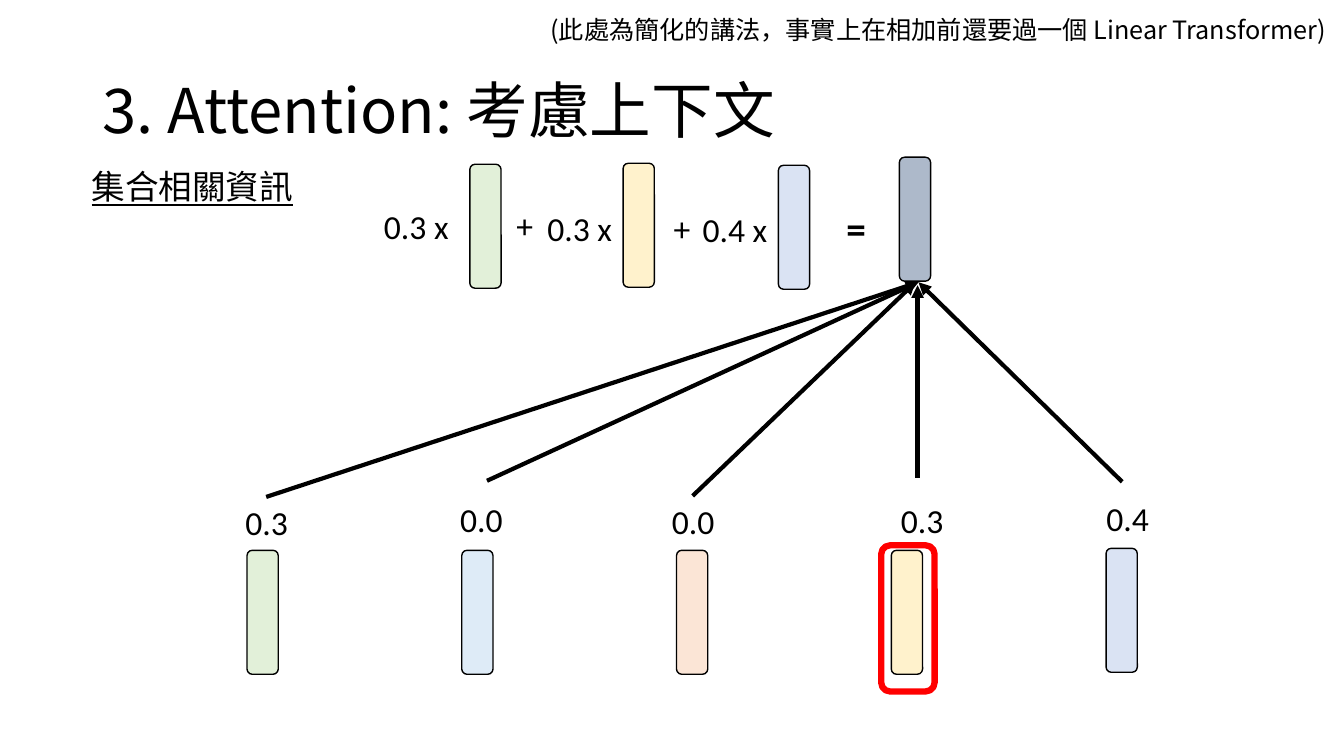
from pptx import Presentation
from pptx.dml.color import RGBColor
from pptx.enum.shapes import MSO_CONNECTOR, MSO_SHAPE
from pptx.enum.text import MSO_ANCHOR, PP_ALIGN
from pptx.oxml.ns import qn
from pptx.util import Inches, Pt
from lxml.etree import SubElement

BLACK = RGBColor(0x00, 0x00, 0x00)
RED = RGBColor(0xFF, 0x00, 0x00)
GREEN = RGBColor(0xE2, 0xF0, 0xD9)
SKY = RGBColor(0xDE, 0xEB, 0xF7)
PEACH = RGBColor(0xFB, 0xE5, 0xD6)
CREAM = RGBColor(0xFF, 0xF2, 0xCC)
BLUE = RGBColor(0xDA, 0xE3, 0xF3)
SLATE = RGBColor(0xAD, 0xB9, 0xCA)
LATIN = "Calibri"
CJK = "Noto Sans CJK SC"

prs = Presentation()
prs.slide_width, prs.slide_height = Inches(13.33), Inches(7.5)
slide = prs.slides.add_slide(prs.slide_layouts[6])
shapes = slide.shapes


def add_text(text, x, y, w, h=0.5, size=24, face=LATIN, align=PP_ALIGN.LEFT):
    box = shapes.add_textbox(Inches(x), Inches(y), Inches(w), Inches(h))
    box.text_frame.word_wrap = True
    para = box.text_frame.paragraphs[0]
    para.alignment = align
    run = para.add_run()
    run.text = text
    run.font.size = Pt(size)
    run.font.name = face
    run.font.color.rgb = BLACK
    SubElement(run.font._element, qn("a:ea")).set("typeface", face)
    return box, run


def add_bar(x, y, fill, w=0.31, h=1.23, line=BLACK, width=1):
    bar = shapes.add_shape(MSO_SHAPE.ROUNDED_RECTANGLE,
                           Inches(x), Inches(y), Inches(w), Inches(h))
    bar.shadow.inherit = False
    if fill is None:
        bar.fill.background()
    else:
        bar.fill.solid()
        bar.fill.fore_color.rgb = fill
    bar.line.color.rgb = line
    bar.line.width = Pt(width)


# Title, subtitle and note
title, run = add_text("3. Attention: 考慮上下文", 0.92, 0.4, 11.5, 1.45, 44, CJK)
title.text_frame.vertical_anchor = MSO_ANCHOR.MIDDLE
title.text_frame.paragraphs[0].line_spacing = 0.9
box, run = add_text("集合相關資訊", 0.81, 1.6, 3.28, face=CJK)
run.font.underline = True
add_text("(此處為簡化的講法，事實上在相加前還要過一個 Linear Transformer)",
         5.36, 0.09, 8.57, 0.4, 18, CJK)

# Input vectors, 2.13 apart, with their weights
inputs = [
    (GREEN, 5.46, "0.3", 2.14, 4.93),
    (SKY, 5.46, "0.0", 4.27, 4.9),
    (PEACH, 5.46, "0.0", 6.37, 4.92),
    (CREAM, 5.46, "0.3", 8.64, 4.91),
    (BLUE, 5.44, "0.4", 10.68, 4.89),
]
for i, (fill, top, weight, x, y) in enumerate(inputs):
    add_bar(2.45 + 2.13 * i, top, fill)
    add_text(weight, x, y, 1.01, align=PP_ALIGN.CENTER)
add_bar(8.74, 5.41, None, 0.53, 1.45, RED, 4.5)

# Arrows from the weights to the sum
arrows = [
    (9.1, 4.74, 9.1, 2.83),
    (11.13, 4.78, 9.11, 2.8),
    (4.83, 4.77, 9.11, 2.8),
    (2.64, 4.93, 9.11, 2.8),
    (6.87, 4.92, 9.08, 2.8),
]
for ends in arrows:
    arrow = shapes.add_connector(MSO_CONNECTOR.STRAIGHT, *map(Inches, ends))
    arrow.line.color.rgb = BLACK
    arrow.line.width = Pt(3)
    SubElement(arrow.line._get_or_add_ln(), qn("a:tailEnd")).set("type", "triangle")
    SubElement(arrow._element.spPr, qn("a:effectLst"))

# Weighted sum
for text, x, y in [("0.3 x", 3.71, 1.99), ("0.3 x", 5.33, 2.01), ("0.4 x", 6.87, 2.02)]:
    add_text(text, x, y, 0.99)
for x, y in [(4.71, 1.98), (6.27, 2.01)]:
    add_text("+", x, y, 0.99, align=PP_ALIGN.CENTER)
box, run = add_text("=", 7.83, 1.98, 1.32, 0.57, 28, align=PP_ALIGN.CENTER)
run.font.bold = True
for x, y, fill in [(4.66, 1.63, GREEN), (6.18, 1.62, CREAM),
                   (7.72, 1.64, BLUE), (8.92, 1.56, SLATE)]:
    add_bar(x, y, fill)

prs.save("out.pptx")
